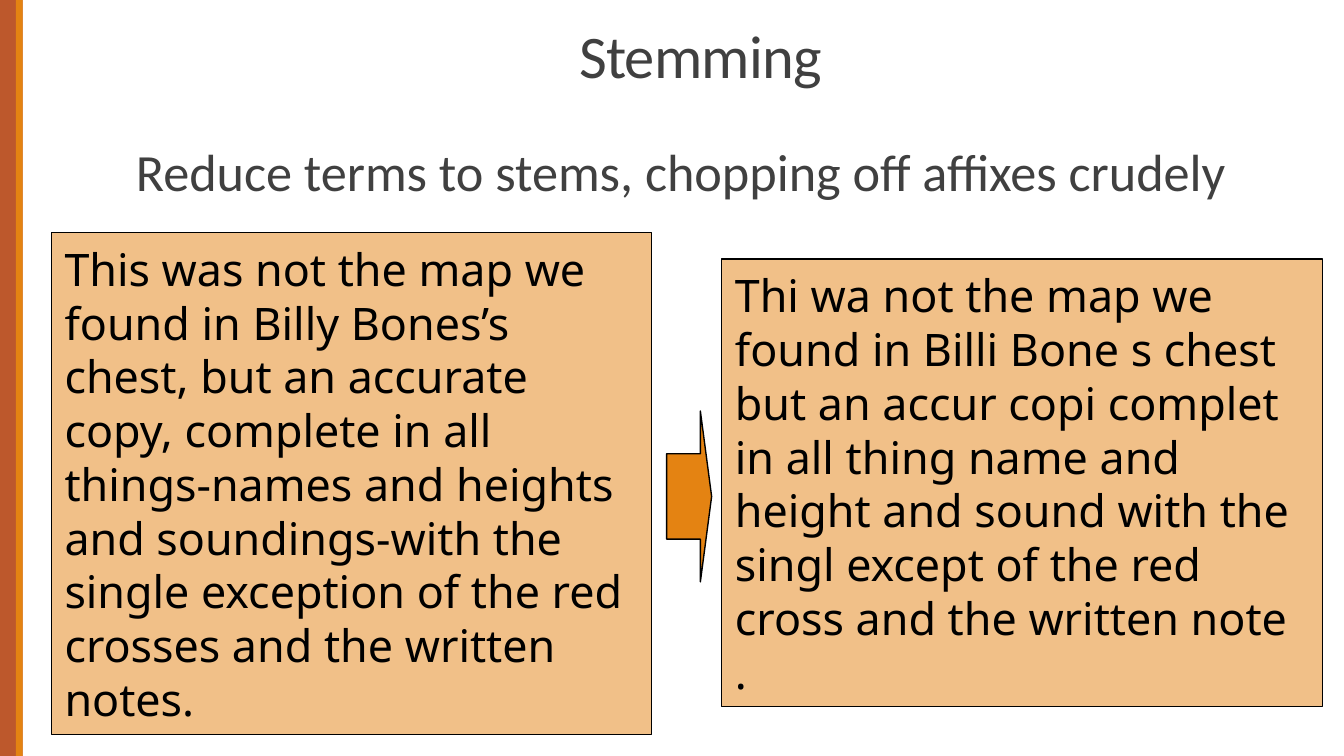
from lxml.etree import SubElement
from pptx import Presentation
from pptx.dml.color import RGBColor
from pptx.enum.shapes import MSO_SHAPE as Preset
from pptx.enum.text import MSO_ANCHOR as Anchor, MSO_AUTO_SIZE as AutoSize, PP_ALIGN as Align
from pptx.oxml.ns import qn
from pptx.util import Cm, Pt

ORIGINAL = (
    "This was not the map we found in Billy Bones’s chest, but an accurate copy, "
    "complete in all things-names and heights and soundings-with the single "
    "exception of the red crosses and the written notes."
)
STEMMED = (
    "Thi wa not the map we found in Billi Bone s chest but an accur copi complet "
    "in all thing name and height and sound with the singl except of the red "
    "cross and the written note"
)


def color(value):
    return RGBColor.from_string(value)


def assign(target, values):
    """Set each attribute of target named in values."""
    for name, value in values.items():
        setattr(target, name, value)


class StemmingSlide:
    ORANGE, RUST, GRAY, BLACK = "E48312", "BD582C", "404040", "000000"
    HEADING = {"name": "Calibri", "size": Pt(32.4)}
    BODY = {"name": "Calibri", "size": Pt(28)}
    PASSAGE = {"name": "Noto Sans", "size": Pt(24)}

    def __init__(self, presentation):
        self.slide = presentation.slides.add_slide(presentation.slide_layouts[6])

    def fill_frame(self, frame, texts, font, ink, frame_format, paragraph_format):
        """Fill a text frame with one paragraph per text."""
        assign(frame, {"word_wrap": True, **frame_format})
        for index, text in enumerate(texts):
            paragraph = frame.add_paragraph() if index else frame.paragraphs[0]
            run = paragraph.add_run()
            run.text = text
            assign(paragraph, paragraph_format)
            assign(run.font, font)
            run.font.color.rgb = color(ink)
        return frame

    def text(self, box, text, font, frame_format, paragraph_format):
        frame = self.slide.shapes.add_textbox(*map(Cm, box)).text_frame
        return self.fill_frame(frame, [text], font, self.GRAY, frame_format, paragraph_format)

    def shape(self, preset, box, fill, outlined=True):
        shape = self.slide.shapes.add_shape(preset, *map(Cm, box))
        shape.shadow.inherit = False
        shape.fill.solid()
        shape.fill.fore_color.rgb = color(fill)
        if outlined:
            shape.line.color.rgb = color(self.BLACK)
            shape.line.width = Pt(0.75)
        else:
            shape.line.fill.background()
        return shape

    def bar(self, left, width, fill):
        self.shape(Preset.RECTANGLE, (left, 0, width, 14.29), fill, outlined=False)

    def passage(self, box, texts):
        """Add a half-transparent outlined box of running text."""
        shape = self.shape(Preset.RECTANGLE, box, self.ORANGE)
        fill_color = shape.element.spPr.find(qn("a:solidFill"))[0]
        SubElement(fill_color, qn("a:alpha"), val="50000")
        self.fill_frame(
            shape.text_frame, texts, self.PASSAGE, self.BLACK,
            {"vertical_anchor": Anchor.MIDDLE, "auto_size": AutoSize.SHAPE_TO_FIT_TEXT},
            {"alignment": Align.LEFT},
        )

    def arrow(self, box):
        arrow = self.shape(Preset.RIGHT_ARROW, box, self.ORANGE)
        arrow.adjustments[0] = 0.5
        arrow.adjustments[1] = 0.25

    def title(self, box, text):
        frame = self.text(
            box, text, self.HEADING, {"vertical_anchor": Anchor.BOTTOM},
            {"alignment": Align.CENTER, "line_spacing": 0.85},
        )
        run = frame.paragraphs[0].runs[0]
        run._r.get_or_add_rPr().set("spc", "-40")

    def statement(self, box, text):
        self.text(
            box, text, self.BODY, {"margin_left": Cm(0.28), "margin_right": 0},
            {"line_spacing": 0.9, "space_after": Pt(1.5)},
        )


def main():
    presentation = Presentation()
    assign(presentation, {"slide_width": Cm(25.4), "slide_height": Cm(14.29)})
    page = StemmingSlide(presentation)
    page.bar(0, 0.43, page.RUST)
    page.bar(0.3, 0.13, page.ORANGE)
    page.title((8.26, 0.33, 9.96, 1.52), "Stemming")
    page.statement((2.29, 2.64, 20.96, 9.52),
                   "Reduce terms to stems, chopping off affixes crudely")
    page.passage((0.97, 4.39, 11.35, 9.5), [ORIGINAL])
    page.arrow((12.6, 7.77, 0.85, 3.23))
    page.passage((13.64, 4.9, 11.35, 8.46), [STEMMED, "."])
    presentation.save("out.pptx")


if __name__ == "__main__":
    main()
